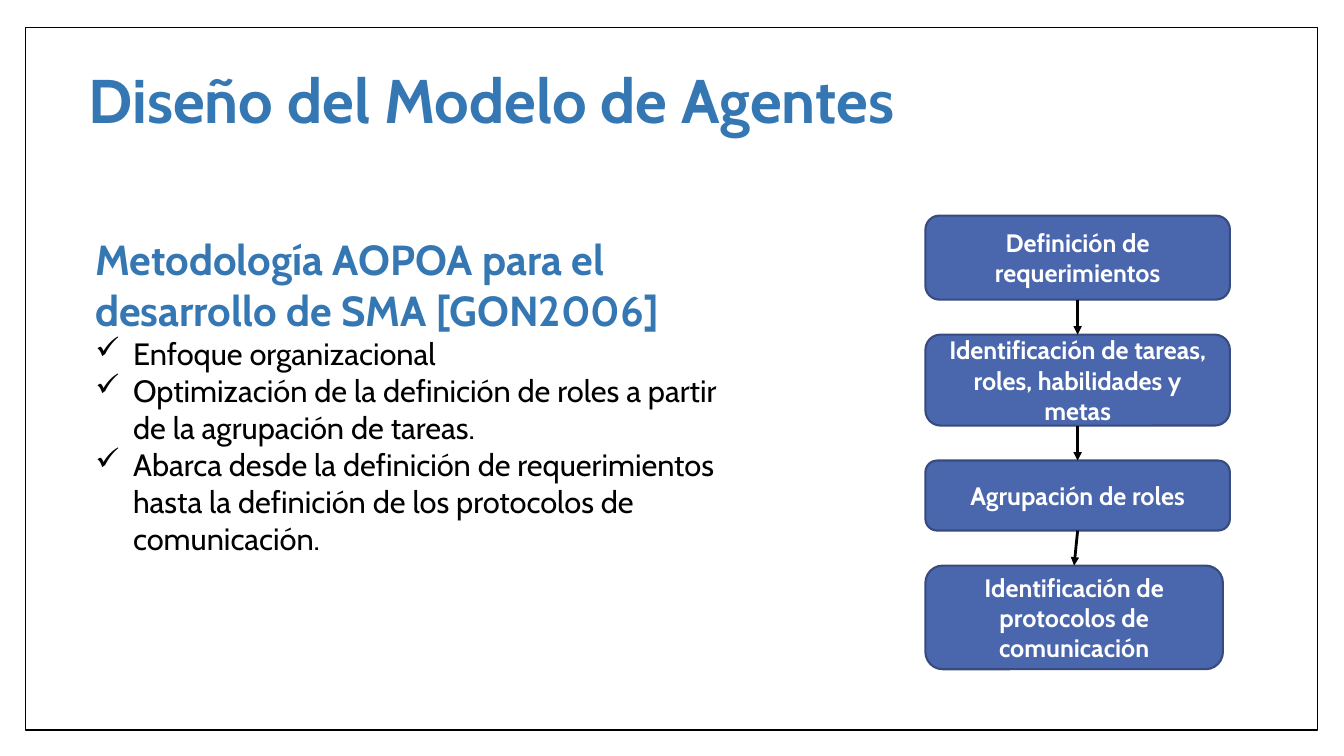
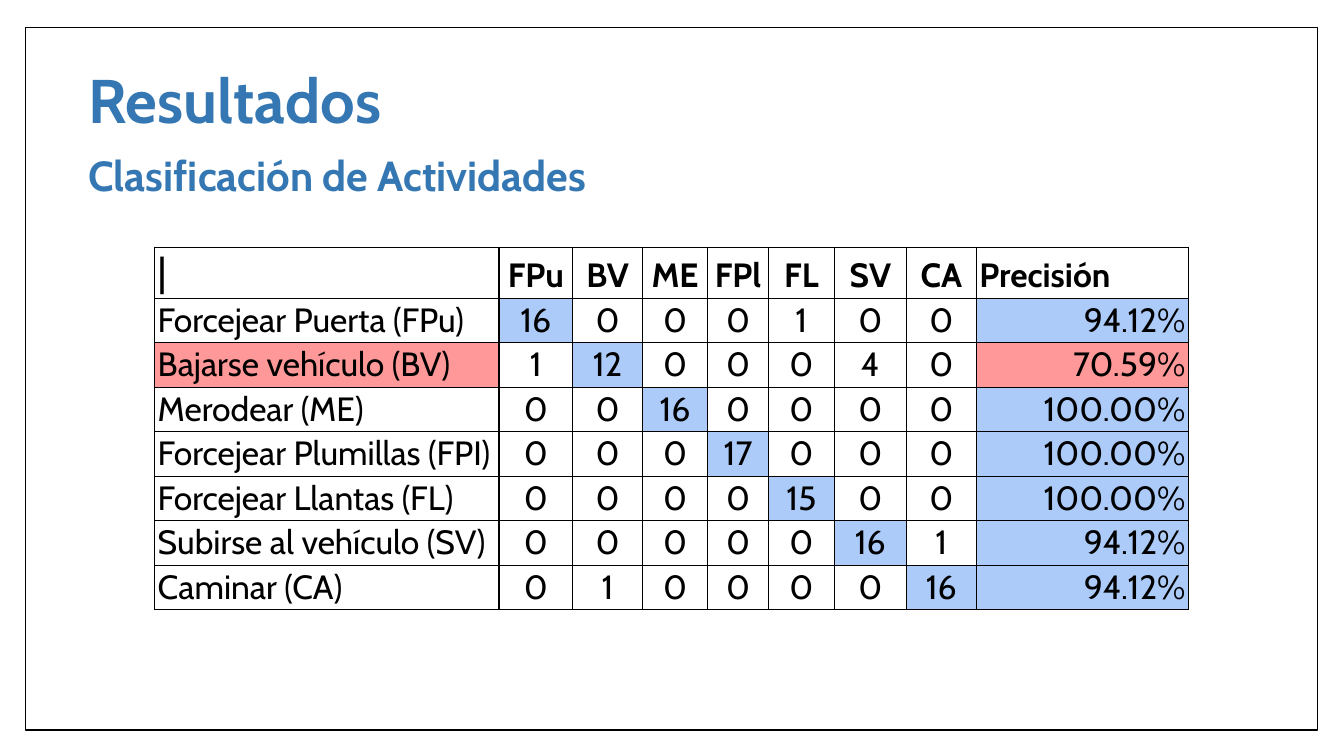
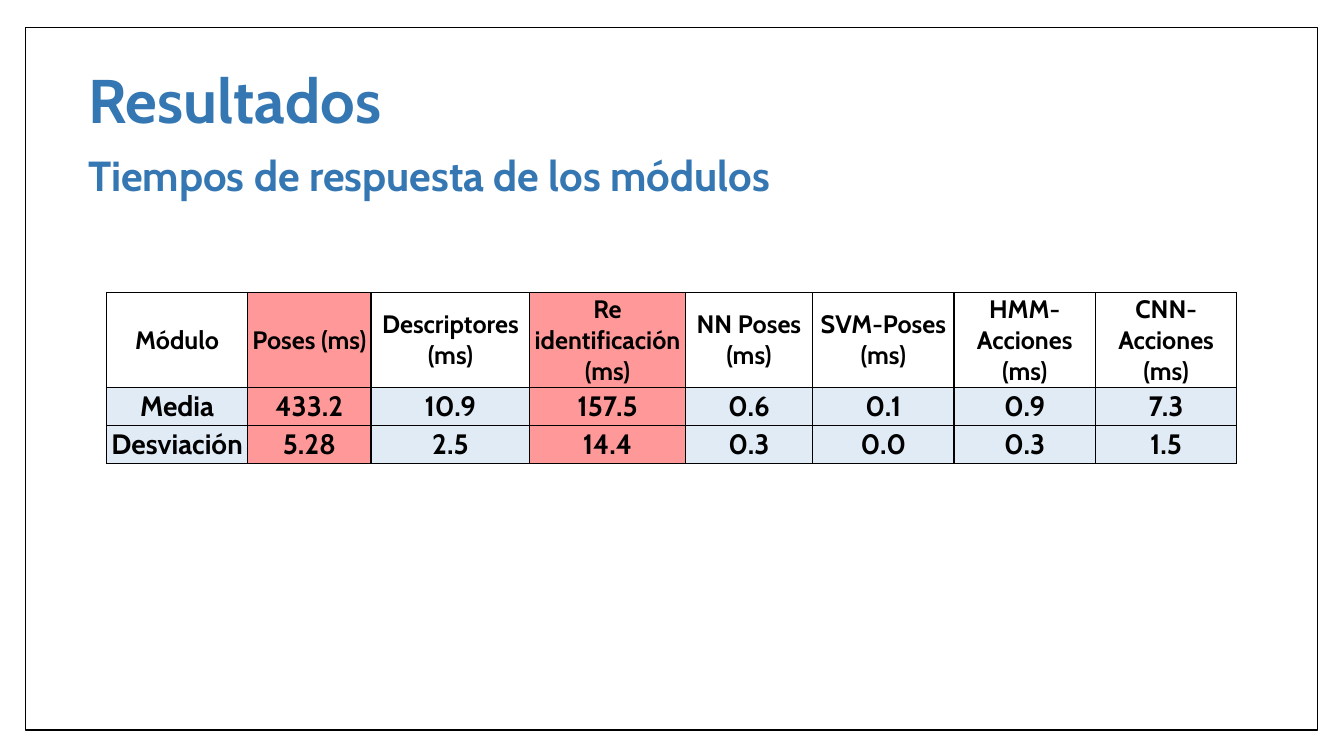
from lxml.etree import SubElement
from pptx import Presentation
from pptx.dml.color import RGBColor
from pptx.enum.shapes import MSO_CONNECTOR, MSO_SHAPE
from pptx.enum.text import MSO_ANCHOR, MSO_AUTO_SIZE, PP_ALIGN
from pptx.oxml.ns import qn
from pptx.util import Pt

BLACK = RGBColor(0x00, 0x00, 0x00)
WHITE = RGBColor(0xFF, 0xFF, 0xFF)
TITLE_BLUE = RGBColor(0x34, 0x77, 0xB2)
BOX_BLUE = RGBColor(0x4A, 0x66, 0xAC)
BOX_EDGE = RGBColor(0x37, 0x4B, 0x7F)
HIT_BLUE = RGBColor(0xAC, 0xCB, 0xF9)
PALE_BLUE = RGBColor(0xE0, 0xEB, 0xF6)
ALERT_RED = RGBColor(0xFF, 0x99, 0x99)
FONT = "Cabin"


def write(para, text, size, color=BLACK, bold=False):
    span = para.add_run()
    span.text = text
    span.font.name = FONT
    span.font.size = Pt(size)
    span.font.bold = bold
    span.font.color.rgb = color


def add_grid(page, left, top, widths, heights):
    """Add a plain table with narrow margins and black cell borders."""
    table = page.shapes.add_table(len(heights), len(widths), Pt(left), Pt(top),
                                  Pt(sum(widths)), Pt(sum(heights))).table
    table.first_row = table.horz_banding = False
    for column, width in zip(table.columns, widths):
        column.width = Pt(width)
    for row, height in zip(table.rows, heights):
        row.height = Pt(height)
    for cell in table.iter_cells():
        cell.margin_left = cell.margin_right = Pt(2.2)
        cell.margin_top = cell.margin_bottom = Pt(1.3)
        properties = cell._tc.get_or_add_tcPr()
        for side in ("a:lnL", "a:lnR", "a:lnT", "a:lnB"):
            border = SubElement(properties, qn(side), w=str(Pt(1)))
            paint = SubElement(border, qn("a:solidFill"))
            SubElement(paint, qn("a:srgbClr"), val=str(BLACK))
        cell.text_frame.paragraphs[0].space_before = Pt(12)
    return table


deck = Presentation()
deck.slide_width, deck.slide_height = Pt(960), Pt(540)
layout = deck.slide_layouts[5]

# Titles and subtitles
pages = []
for title, subtitle in (
    ("Diseño del Modelo de Agentes", None),
    ("Resultados", "Clasificación de Actividades"),
    ("Resultados", "Tiempos de respuesta de los módulos"),
):
    page = deck.slides.add_slide(layout)
    pages.append(page)
    heading = page.shapes.title
    heading.left, heading.top, heading.width, heading.height = Pt(56), Pt(21), Pt(778), Pt(106.5)
    heading.text_frame.auto_size = MSO_AUTO_SIZE.NONE
    heading.text_frame.vertical_anchor = MSO_ANCHOR.MIDDLE
    para = heading.text_frame.paragraphs[0]
    para.alignment = PP_ALIGN.LEFT
    para.line_spacing = 0.9
    write(para, title, 44, TITLE_BLUE, True)
    if subtitle:
        box = page.shapes.add_textbox(Pt(56), Pt(103.5), Pt(683), Pt(44))
        box.text_frame.word_wrap = True
        box.text_frame.auto_size = MSO_AUTO_SIZE.SHAPE_TO_FIT_TEXT
        write(box.text_frame.paragraphs[0], subtitle, 30, TITLE_BLUE, True)

method_page, activity_page, timing_page = pages

# Frame shared through the layout
frame = method_page.shapes.add_shape(MSO_SHAPE.RECTANGLE, Pt(18), Pt(19.5), Pt(923), Pt(502))
frame.shadow.inherit = False
frame.fill.solid()
frame.fill.fore_color.rgb = WHITE
frame.line.color.rgb = BLACK
frame.line.width = Pt(1)
layout.shapes.element.insert(2, frame.element)

# Slide 1: methodology and its steps
box = method_page.shapes.add_textbox(Pt(61), Pt(163.5), Pt(476), Pt(240))
body = box.text_frame
body.word_wrap = True
body.auto_size = MSO_AUTO_SIZE.SHAPE_TO_FIT_TEXT
write(body.paragraphs[0], "Metodología AOPOA para el desarrollo de SMA [GON2006]", 30, TITLE_BLUE, True)
for point in (
    "Enfoque organizacional",
    "Optimización de la definición de roles a partir de la agrupación de tareas.",
    "Abarca desde la definición de requerimientos hasta la definición de los protocolos de comunicación.",
):
    para = body.add_paragraph()
    properties = para._p.get_or_add_pPr()
    properties.set("marL", str(Pt(27)))
    properties.set("indent", str(-Pt(27)))
    SubElement(properties, qn("a:buChar"), char="✓")
    write(para, point, 22)

STEP_GAP = 25
step_top = 154
previous = None
for text, width, height in (
    ("Definición de requerimientos", 217.5, 60),
    ("Identificación de tareas, roles, habilidades y metas", 217.5, 65),
    ("Agrupación de roles", 217.5, 50),
    ("Identificación de protocolos de comunicación", 212.5, 74),
):
    step = method_page.shapes.add_shape(MSO_SHAPE.ROUNDED_RECTANGLE, Pt(661), Pt(step_top),
                                        Pt(width), Pt(height))
    step.shadow.inherit = False
    step.fill.solid()
    step.fill.fore_color.rgb = BOX_BLUE
    step.line.color.rgb = BOX_EDGE
    step.line.width = Pt(1.5)
    step.text_frame.word_wrap = True
    step.text_frame.vertical_anchor = MSO_ANCHOR.MIDDLE
    para = step.text_frame.paragraphs[0]
    para.alignment = PP_ALIGN.CENTER
    write(para, text, 18, WHITE, True)
    if previous is not None:
        arrow = method_page.shapes.add_connector(MSO_CONNECTOR.STRAIGHT, 0, 0, 0, 0)
        arrow.begin_connect(previous, 2)
        arrow.end_connect(step, 0)
        arrow.line.color.rgb = BLACK
        arrow.line.width = Pt(2)
        SubElement(arrow.line._get_or_add_ln(), qn("a:tailEnd"), type="triangle")
        SubElement(arrow._element.spPr, qn("a:effectLst"))
    previous = step
    step_top += height + STEP_GAP

# Slide 2: confusion matrix
ACTIVITY_ROWS = (
    ("|", "FPu", "BV", "ME", "FPl", "FL", "SV", "CA", "Precisión"),
    ("Forcejear Puerta (FPu)", 16, 0, 0, 0, 1, 0, 0, "94.12%"),
    ("Bajarse vehículo (BV)", 1, 12, 0, 0, 0, 4, 0, "70.59%"),
    ("Merodear (ME)", 0, 0, 16, 0, 0, 0, 0, "100.00%"),
    ("Forcejear Plumillas (FPI)", 0, 0, 0, 17, 0, 0, 0, "100.00%"),
    ("Forcejear Llantas (FL)", 0, 0, 0, 0, 15, 0, 0, "100.00%"),
    ("Subirse al vehículo (SV)", 0, 0, 0, 0, 0, 16, 1, "94.12%"),
    ("Caminar (CA)", 0, 1, 0, 0, 0, 0, 16, "94.12%"),
)
LAST = 8
WEAK_ROW = 2
table = add_grid(activity_page, 110.5, 176.5, [246, 52.5, 50, 46.5, 43.5, 47, 51.5, 50, 151.5],
                 [36.5] + [31.8] * 7)
for r, row in enumerate(ACTIVITY_ROWS):
    for c, value in enumerate(row):
        cell = table.cell(r, c)
        cell.vertical_anchor = MSO_ANCHOR.BOTTOM
        cell.fill.solid()
        if r == WEAK_ROW and c in (0, LAST):
            cell.fill.fore_color.rgb = ALERT_RED
        elif r > 0 and c in (r, LAST):
            cell.fill.fore_color.rgb = HIT_BLUE
        else:
            cell.fill.fore_color.rgb = WHITE
        para = cell.text_frame.paragraphs[0]
        if 0 < c < LAST:
            para.alignment = PP_ALIGN.CENTER
        elif c == LAST and r > 0:
            para.alignment = PP_ALIGN.RIGHT
        else:
            para.alignment = PP_ALIGN.LEFT
        write(para, str(value), 28 if r == c == 0 else 24, bold=r == 0 and c > 0)

# Slide 3: response times
TIMING_ROWS = (
    ("Módulo", "Poses (ms)", "Descriptores (ms)", "Re identificación (ms)", "NN Poses (ms)",
     "SVM-Poses (ms)", "HMM-Acciones (ms)", "CNN-Acciones (ms)"),
    ("Media", "433.2", "10.9", "157.5", "0.6", "0.1", "0.9", "7.3"),
    ("Desviación", "5.28", "2.5", "14.4", "0.3", "0.0", "0.3", "1.5"),
)
SLOW_COLUMNS = (1, 3)
table = add_grid(timing_page, 76, 209, [101, 88, 113.5, 111, 91, 101, 101, 101], [68, 27, 27])
for r, row in enumerate(TIMING_ROWS):
    for c, value in enumerate(row):
        cell = table.cell(r, c)
        cell.vertical_anchor = MSO_ANCHOR.BOTTOM if r else MSO_ANCHOR.MIDDLE
        cell.fill.solid()
        if c in SLOW_COLUMNS:
            cell.fill.fore_color.rgb = ALERT_RED
        else:
            cell.fill.fore_color.rgb = PALE_BLUE if r else WHITE
        para = cell.text_frame.paragraphs[0]
        para.alignment = PP_ALIGN.CENTER
        write(para, value, 20 if r else 18, bold=True)

deck.save("out.pptx")
